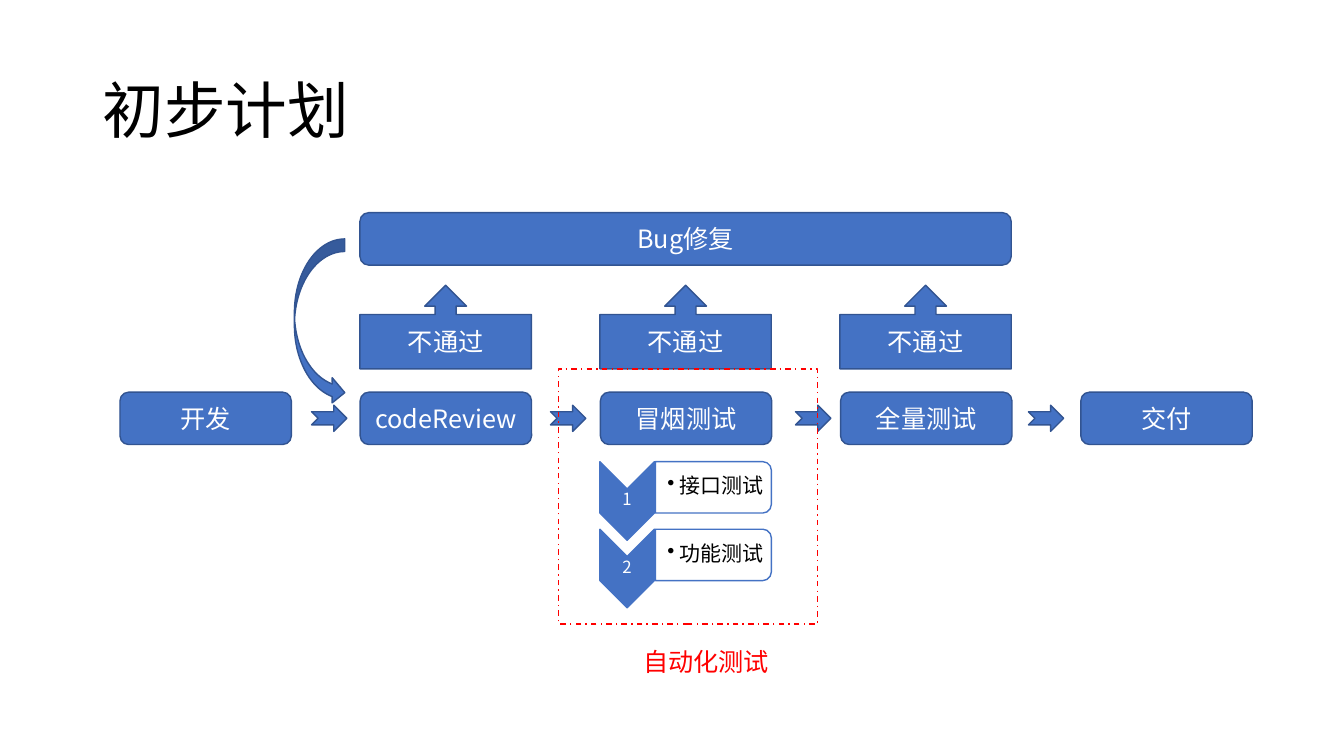
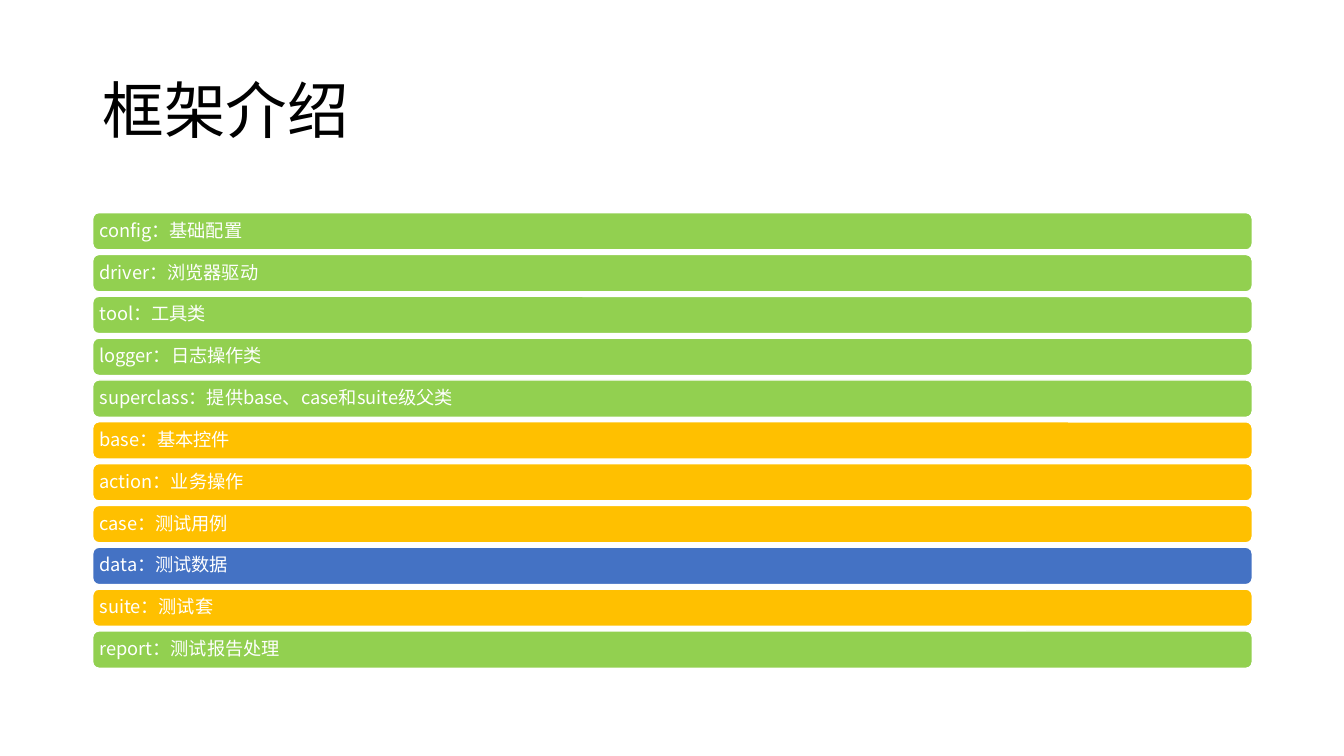
from lxml.etree import SubElement
from pptx import Presentation
from pptx.dml.color import RGBColor
from pptx.enum.dml import MSO_LINE
from pptx.enum.shapes import MSO_SHAPE
from pptx.enum.text import MSO_ANCHOR, PP_ALIGN
from pptx.oxml.ns import qn
from pptx.util import Emu, Pt

PX = 9144
FONT = "Noto Sans CJK SC"
COLORS = {
    "blue": "4472C4",
    "outline": "325491",
    "green": "92D050",
    "amber": "FFC000",
    "red": "FF0000",
    "white": "FFFFFF",
    "black": "000000",
}
TITLE_BOX = (92, 40, 1150, 145)
CONTENT_BOX = (92, 211, 1150, 452)
PROCESS_BOX = (119, 211, 1123, 465)

STAGES = ["开发", "codeReview", "冒烟测试", "全量测试", "交付"]
ARROW_OFFSETS = [190, 427, 670, 901]
SMOKE_STEPS = ["接口测试", "功能测试"]
MODULES = [
    ("config：基础配置", "green"),
    ("driver：浏览器驱动", "green"),
    ("tool：工具类", "green"),
    ("logger：日志操作类", "green"),
    ("superclass：提供base、case和suite级父类", "green"),
    ("base：基本控件", "amber"),
    ("action：业务操作", "amber"),
    ("case：测试用例", "amber"),
    ("data：测试数据", "blue"),
    ("suite：测试套", "amber"),
    ("report：测试报告处理", "green"),
]


def px(length):
    return Emu(round(length * PX))


def rgb(name):
    return RGBColor.from_string(COLORS[name])


def write(holder, text, size, color="white", align=PP_ALIGN.LEFT,
          anchor=MSO_ANCHOR.MIDDLE, insets=(10, 5, 10, 5), spacing=None, bullet_indent=0):
    frame = holder.text_frame
    frame.word_wrap = True
    frame.vertical_anchor = anchor
    frame.margin_left, frame.margin_top, frame.margin_right, frame.margin_bottom = map(px, insets)
    paragraph = frame.paragraphs[0]
    paragraph.alignment = align
    if spacing:
        paragraph.line_spacing = spacing
    if bullet_indent:
        properties = paragraph._p.get_or_add_pPr()
        properties.set("marL", str(px(bullet_indent)))
        properties.set("indent", str(-px(bullet_indent)))
        SubElement(properties, qn("a:buChar")).set("char", "•")
    run = paragraph.add_run()
    run.text = text
    run.font.size = Pt(size)
    run.font.name = FONT
    run.font.color.rgb = rgb(color)
    SubElement(run._r.get_or_add_rPr(), qn("a:ea")).set("typeface", FONT)


def add_label(slide, box, text, size, **style):
    write(slide.shapes.add_textbox(*map(px, box)), text, size, **style)


def add_block(slide, kind, box, fill="blue", line="outline", quarter_turn=False):
    left, top, width, height = box
    if quarter_turn:
        shift = (width - height) / 2
        left, top, width, height = left + shift, top - shift, height, width
    block = slide.shapes.add_shape(kind, *map(px, (left, top, width, height)))
    block.shadow.inherit = False
    if quarter_turn:
        block.rotation = 90
    if fill:
        block.fill.solid()
        block.fill.fore_color.rgb = rgb(fill)
    else:
        block.fill.background()
    block.line.color.rgb = rgb(line)
    block.line.width = Pt(1)
    return block


def add_node(slide, kind, box, text):
    write(add_block(slide, kind, box), text, 18, align=PP_ALIGN.CENTER)


def add_titled_slide(deck, title):
    slide = deck.slides.add_slide(deck.slide_layouts[6])
    add_label(slide, TITLE_BOX, title, 44, color="black", spacing=0.9)
    return slide


def add_stages(slide, box):
    left, top, width, height = box
    node_width = 170
    pitch = (width - node_width) / (len(STAGES) - 1)
    for index, stage in enumerate(STAGES):
        add_node(slide, MSO_SHAPE.ROUNDED_RECTANGLE,
                 (left + index * pitch, top, node_width, height), stage)
    for offset in ARROW_OFFSETS:
        add_block(slide, MSO_SHAPE.NOTCHED_RIGHT_ARROW, (left + offset, top + 13, 35, 26))


def add_bug_loop(slide, box):
    left, top, width, height = box
    callout_width = 170
    add_node(slide, MSO_SHAPE.ROUNDED_RECTANGLE, (left, top, width, 52), "Bug修复")
    add_block(slide, MSO_SHAPE.CURVED_RIGHT_ARROW, (left - 65, top + 26, 50, 165))
    for index in range(3):
        add_node(slide, MSO_SHAPE.UP_ARROW_CALLOUT,
                 (left + index * (width - callout_width) / 2, top + height - 83, callout_width, 83),
                 "不通过")


def add_smoke_steps(slide, box):
    left, top, width, height = box
    chevron_width, chevron_height = 54, 78
    pitch = height - chevron_height
    for index, step in enumerate(SMOKE_STEPS):
        y = top + index * pitch
        panel_left = left + chevron_width + 1
        add_block(slide, MSO_SHAPE.CHEVRON, (left, y, chevron_width, chevron_height),
                  line="blue", quarter_turn=True)
        add_label(slide, (left, y + 27, chevron_width, 23), str(index + 1), 12,
                  align=PP_ALIGN.CENTER, insets=(1, 1, 1, 1), spacing=0.9)
        add_block(slide, MSO_SHAPE.ROUND_2_SAME_RECTANGLE,
                  (panel_left, y, width - chevron_width - 1, 51),
                  fill="white", line="blue", quarter_turn=True)
        add_label(slide, (panel_left, y + 2, 113, 46), step, 15, color="black",
                  insets=(12, 1, 1, 1), spacing=0.9, bullet_indent=12)


def add_automation_frame(slide, box):
    left, top, width, height = box
    frame = add_block(slide, MSO_SHAPE.RECTANGLE, box, fill=None, line="red")
    frame.line.dash_style = MSO_LINE.DASH_DOT
    add_label(slide, (left + 74, top + height + 17, 158, 40), "自动化测试", 18,
              color="red", anchor=MSO_ANCHOR.TOP)


def add_process(slide, box):
    left, top, width, _ = box
    add_stages(slide, (left, top + 178, width, 52))
    add_bug_loop(slide, (left + 238, top, 646, 155))
    add_smoke_steps(slide, (left + 476, top + 247, 170, 145))
    add_automation_frame(slide, (left + 435, top + 155, 257, 253))


def add_modules(slide, box):
    left, top, width, height = box
    bar_height = 37
    pitch = (height - bar_height) / (len(MODULES) - 1)
    for index, (module, color) in enumerate(MODULES):
        bar = add_block(slide, MSO_SHAPE.ROUNDED_RECTANGLE,
                        (left, top + index * pitch, width, bar_height), fill=color, line="white")
        write(bar, module, 13, insets=(5, 5, 5, 5), spacing=0.9)


def main():
    deck = Presentation()
    deck.slide_width, deck.slide_height = px(1333), px(750)
    add_process(add_titled_slide(deck, "初步计划"), PROCESS_BOX)
    add_modules(add_titled_slide(deck, "框架介绍"), CONTENT_BOX)
    deck.save("out.pptx")


if __name__ == "__main__":
    main()
